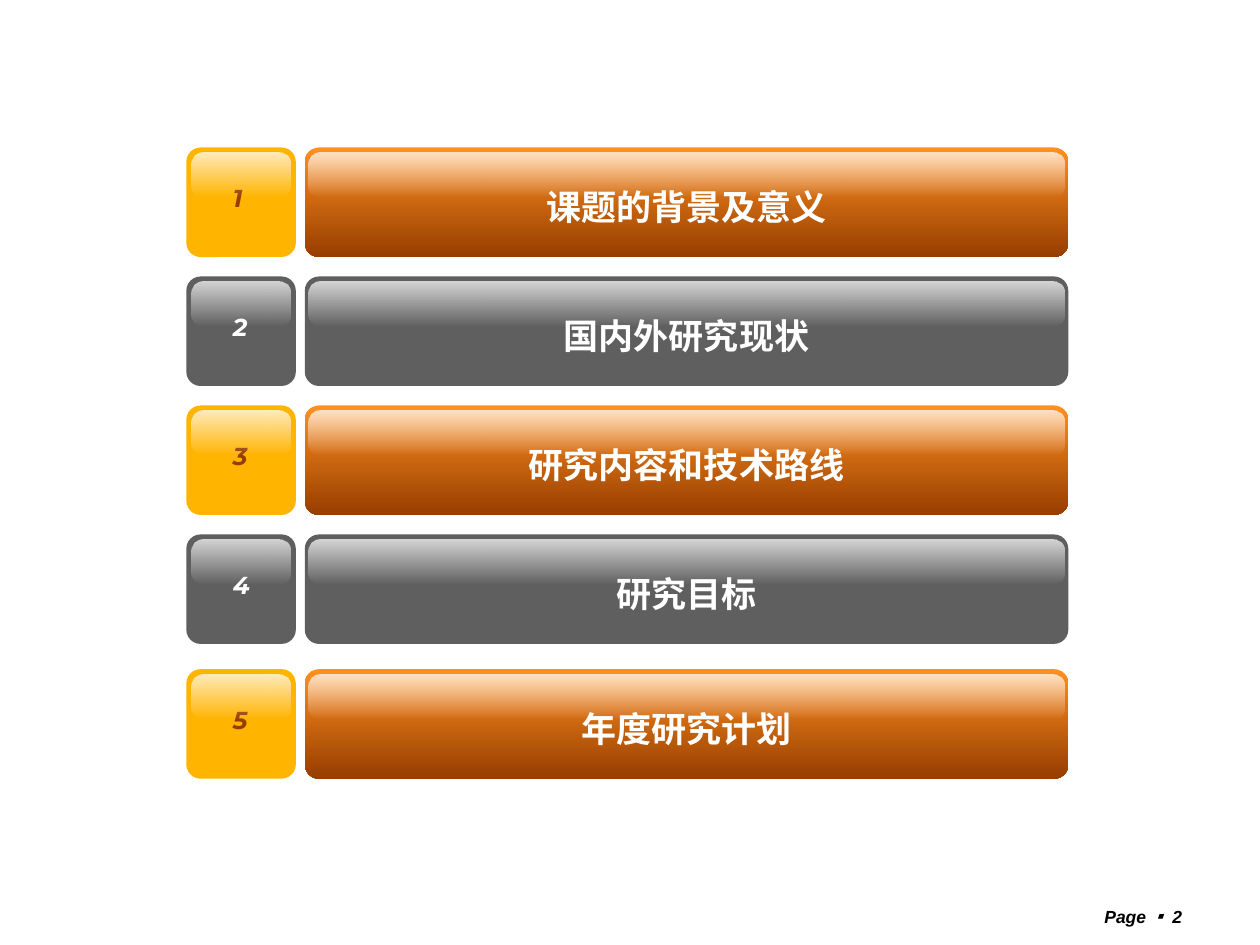
from lxml import etree
from pptx import Presentation
from pptx.dml.color import RGBColor
from pptx.enum import shapes, text
from pptx.oxml import ns
from pptx.util import Pt

HUES = {"white": "FFFFFF", "black": "000000", "grey": "5F5F5F",
        "gold": "FFB400", "orange": "FF9021", "brown": "963D00"}
ITEMS = ["课题的背景及意义", "国内外研究现状", "研究内容和技术路线",
         "研究目标", "年度研究计划"]
TOP, STEP, SIDE = 84.3, 73.7, 62.6
LAST = 3.3  # extra gap above the last row
TILE_X, BAR_X, BAR_W = 106.5, 174.2, 436.3


def rgb(name):
    return RGBColor.from_string(HUES[name])


def style(run, size, hue, font="Arial", italic=False):
    run.font.size, run.font.name = Pt(size), font
    run.font.bold, run.font.italic = True, italic
    run.font.color.rgb = rgb(hue)


def paint(shape, hues, alphas=()):
    """Fill with one colour, or from top to bottom with two."""
    fill = shape.fill
    if len(hues) == 1:
        fill.solid()
        fill.fore_color.rgb = rgb(hues[0])
        return
    fill.gradient()
    fill.gradient_angle = 270
    for stop, hue in zip(fill.gradient_stops, hues):
        stop.color.rgb = rgb(hue)
    for node, alpha in zip(shape.element.xpath(".//a:gs/a:srgbClr"), alphas):
        etree.SubElement(node, ns.qn("a:alpha"), val=str(alpha * 1000))


def add_panel(group, box, bend, hues, alphas=()):
    panel = group.shapes.add_shape(
        shapes.MSO_SHAPE.ROUNDED_RECTANGLE, *map(Pt, box))
    panel.adjustments[0] = bend
    panel.shadow.inherit = False
    panel.line.fill.background()
    paint(panel, hues, alphas)
    return panel


def add_gloss(group, x, y, width, inset):
    box = (x + inset, y + 2.9, width - 2 * inset, 25.2)
    add_panel(group, box, 0.26, ["white", "white"], (75, 0))


def add_bar(slide, y, label, hues):
    group = slide.shapes.add_group_shape()
    bar = add_panel(group, (BAR_X, y, BAR_W, SIDE), 0.13, hues)
    frame = bar.text_frame
    frame.text = label
    frame.word_wrap = False
    frame.vertical_anchor = text.MSO_ANCHOR.MIDDLE
    para = frame.paragraphs[0]
    para.alignment, para.line_spacing = text.PP_ALIGN.CENTER, 1.2
    style(para.runs[0], 20, "white")
    add_gloss(group, BAR_X, y, BAR_W, 2.2)


def add_tile(slide, y, num, hue, ink, width):
    group = slide.shapes.add_group_shape()
    add_panel(group, (TILE_X, y, SIDE, SIDE), 0.13, [hue])
    box = group.shapes.add_textbox(Pt(126), Pt(y + 17), Pt(width), Pt(28.8))
    frame = box.text_frame
    frame.text = str(num)
    frame.word_wrap = False
    style(frame.paragraphs[0].runs[0], 14, ink, "Montserrat", True)
    add_gloss(group, TILE_X, y, SIDE, 2.9)


def add_footer(slide):
    box = slide.shapes.add_textbox(Pt(569.5), Pt(514), Pt(113), Pt(16))
    frame = box.text_frame
    frame.word_wrap = True
    para = frame.paragraphs[0]
    para.alignment = text.PP_ALIGN.RIGHT
    for part, font in [("Page ", "Arial"), ("▪ ", "Noto Sans CJK JP"),
                       ("2", "Arial")]:
        run = para.add_run()
        run.text = part
        style(run, 10, "black", font, True)


def main():
    deck = Presentation()
    deck.slide_width, deck.slide_height = Pt(720), Pt(540)
    slide = deck.slides.add_slide(deck.slide_layouts[6])
    add_footer(slide)

    # Agenda rows, odd ones warm and even ones grey
    for num, label in enumerate(ITEMS, 1):
        y = TOP + (num - 1) * STEP + (LAST if num == len(ITEMS) else 0)
        if num % 2:
            add_bar(slide, y, label, ["orange", "brown"])
            add_tile(slide, y, num, "gold", "brown", 16.6)
        else:
            add_bar(slide, y, label, ["grey"])
            add_tile(slide, y, num, "grey", "white", 22.3)

    deck.save("out.pptx")


if __name__ == "__main__":
    main()
